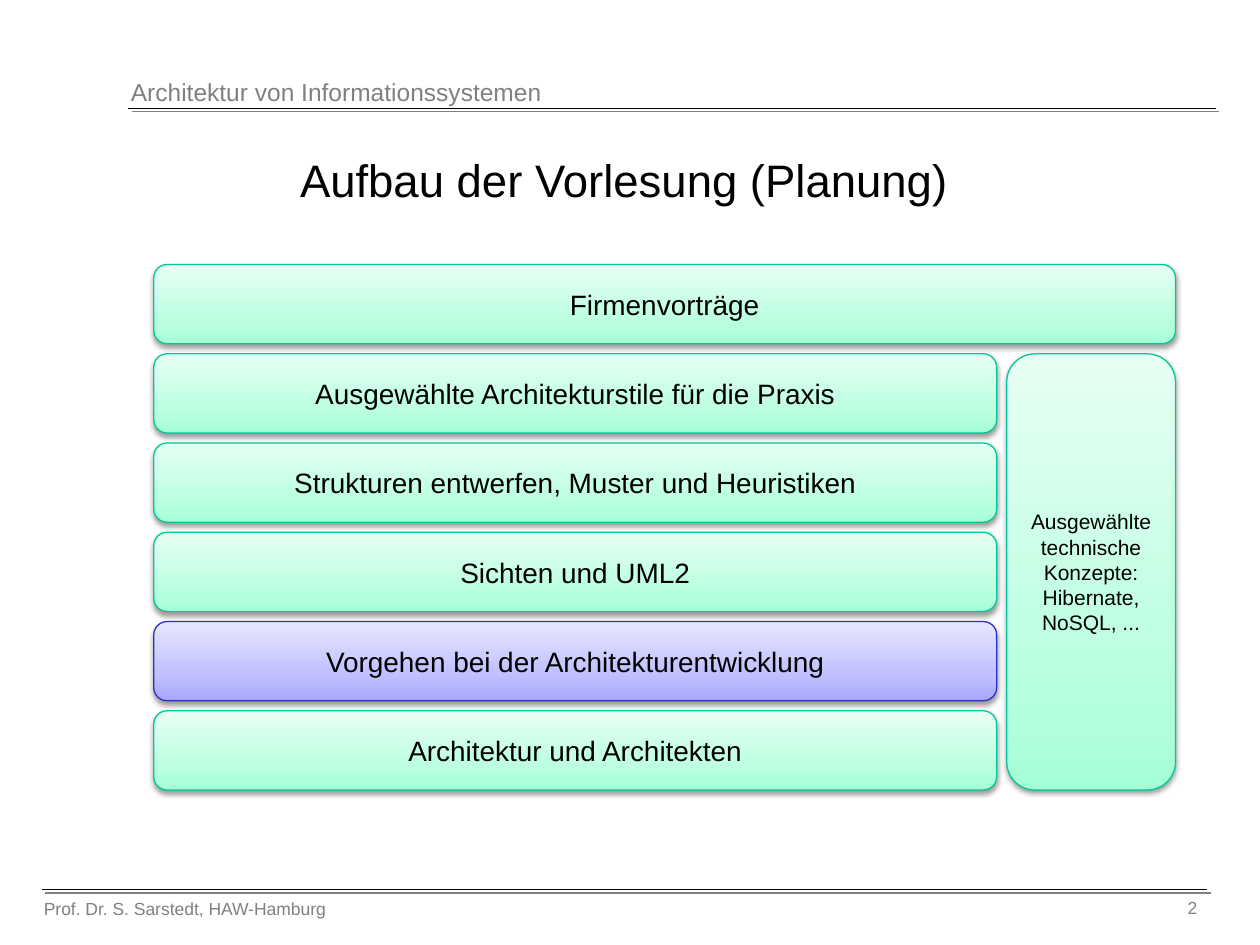
from copy import deepcopy

from lxml.etree import SubElement
from pptx import Presentation
from pptx.dml.color import RGBColor
from pptx.enum.shapes import MSO_CONNECTOR as Connector, MSO_SHAPE as Shape
from pptx.enum.text import MSO_ANCHOR as Anchor, PP_ALIGN as Align
from pptx.oxml.ns import qn
from pptx.util import Inches, Pt

COLORS = {"text": "000000", "muted": "808080", "rule": "000000",
          "rule_shadow": "808080", "block_shadow": "000000"}
THEMES = {
    "green": {"line": "00C896", "stops": ["A5FFD6", "BFFFE2", "E7FFF3"]},
    "violet": {"line": "2E2ECB", "stops": ["A7A7FF", "C1C1FF", "E7E7FF"]},
}
STOP_POSITIONS = [0, 0.35, 1]
TOPICS = [
    ("Ausgewählte Architekturstile für die Praxis", "green"),
    ("Strukturen entwerfen, Muster und Heuristiken", "green"),
    ("Sichten und UML2", "green"),
    ("Vorgehen bei der Architekturentwicklung", "violet"),
    ("Architektur und Architekten", "green"),
]


def rgb(value):
    """Turn a hex string into a colour."""
    return RGBColor.from_string(value)


def write(shape, text, size=16, color="text", align=Align.CENTER, anchor=Anchor.MIDDLE):
    """Put formatted text into a shape."""
    frame = shape.text_frame
    frame.word_wrap = True
    frame.vertical_anchor = anchor
    paragraph = frame.paragraphs[0]
    paragraph.alignment = align
    run = paragraph.add_run()
    run.text = text
    run.font.name = "Arial"
    run.font.size = Pt(size)
    run.font.color.rgb = rgb(COLORS[color])


def add_label(slide, text, left, top, width, height, **style):
    """Add a muted text box anchored at its top."""
    label = slide.shapes.add_textbox(Inches(left), Inches(top), Inches(width), Inches(height))
    write(label, text, color="muted", anchor=Anchor.TOP, **style)


def add_shadow(properties, color, blur, distance, angle, opacity):
    """Append an outer shadow to shape properties."""
    for inherited in properties.findall(qn("a:effectLst")):
        properties.remove(inherited)
    effects = SubElement(properties, qn("a:effectLst"))
    shadow = SubElement(effects, qn("a:outerShdw"), blurRad=str(Pt(blur)),
                        dist=str(Pt(distance)), dir=str(angle * 60000),
                        algn="ctr", rotWithShape="0")
    tint = SubElement(shadow, qn("a:srgbClr"), val=COLORS[color])
    SubElement(tint, qn("a:alpha"), val=str(opacity * 1000))


def add_rule(slide, left, top, width):
    """Draw a horizontal rule with a hard shadow."""
    rule = slide.shapes.add_connector(Connector.STRAIGHT, Inches(left), Inches(top),
                                      Inches(left + width), Inches(top))
    rule.line.color.rgb = rgb(COLORS["rule"])
    rule.line.width = Pt(0.75)
    add_shadow(rule._element.spPr, "rule_shadow", 0, 2.8, 45, 100)


def add_block(slide, text, theme, left, top, width, height, size=16):
    """Draw a rounded gradient block with centred text."""
    block = slide.shapes.add_shape(Shape.ROUNDED_RECTANGLE, Inches(left), Inches(top),
                                   Inches(width), Inches(height))
    block.fill.gradient()
    block.fill.gradient_angle = 90
    stop_list = block._element.spPr.find(".//" + qn("a:gsLst"))
    stop_list.insert(1, deepcopy(stop_list[0]))
    for stop, color, position in zip(block.fill.gradient_stops,
                                     THEMES[theme]["stops"], STOP_POSITIONS):
        stop.color.rgb = rgb(color)
        stop.position = position
    block.line.color.rgb = rgb(THEMES[theme]["line"])
    block.line.width = Pt(0.75)
    block.shadow.inherit = False
    add_shadow(block._element.spPr, "block_shadow", 3.1, 1.6, 90, 38)
    write(block, text, size=size)


def add_header(slide, left, top, width):
    """Place the course name above its rule."""
    add_rule(slide, left + 0.08, top + 0.3, width - 0.08)
    add_label(slide, "Architektur von Informationssystemen", left, top, 7.01, 0.34,
              size=14, align=Align.LEFT)


def add_footer(slide, left, top, width):
    """Place the author and page number below a rule."""
    add_rule(slide, left + 0.08, top, width - 0.1)
    add_label(slide, "Prof. Dr. S. Sarstedt, HAW-Hamburg", left, top + 0.02, 4.5, 0.27,
              size=10, align=Align.LEFT)
    add_label(slide, "2", left + width - 1.02, top + 0.01, 1.02, 0.31,
              size=10, align=Align.RIGHT)


def add_title(slide, left, top, width, height):
    """Place the slide title."""
    title = slide.shapes.title
    title.left, title.top = Inches(left), Inches(top)
    title.width, title.height = Inches(width), Inches(height)
    write(title, "Aufbau der Vorlesung (Planung)", size=26)


def add_lecture_plan(slide, left, top, width, height, gap=0.08, side_width=1.34):
    """Stack the lecture topics beside the technical concepts."""
    row_height = (height - gap * len(TOPICS)) / (len(TOPICS) + 1)
    pitch = row_height + gap
    topic_width = width - side_width - gap
    add_block(slide, "Firmenvorträge", "green", left, top, width, row_height)
    for row, (topic, theme) in enumerate(TOPICS, start=1):
        add_block(slide, topic, theme, left, top + row * pitch, topic_width, row_height)
    add_block(slide, "Ausgewählte technische Konzepte: Hibernate, NoSQL, ...", "green",
              left + topic_width + gap, top + pitch, side_width, height - pitch, size=12)


def main():
    """Build and save the slide."""
    deck = Presentation()
    deck.slide_width, deck.slide_height = Inches(10), Inches(7.5)
    slide = deck.slides.add_slide(deck.slide_layouts[5])
    add_header(slide, 0.94, 0.56, 8.71)
    add_footer(slide, 0.25, 7.06, 9.35)
    add_title(slide, 0.33, 1.17, 9.25, 0.5)
    add_lecture_plan(slide, 1.22, 2.1, 8.11, 4.17)
    deck.save("out.pptx")


if __name__ == "__main__":
    main()
